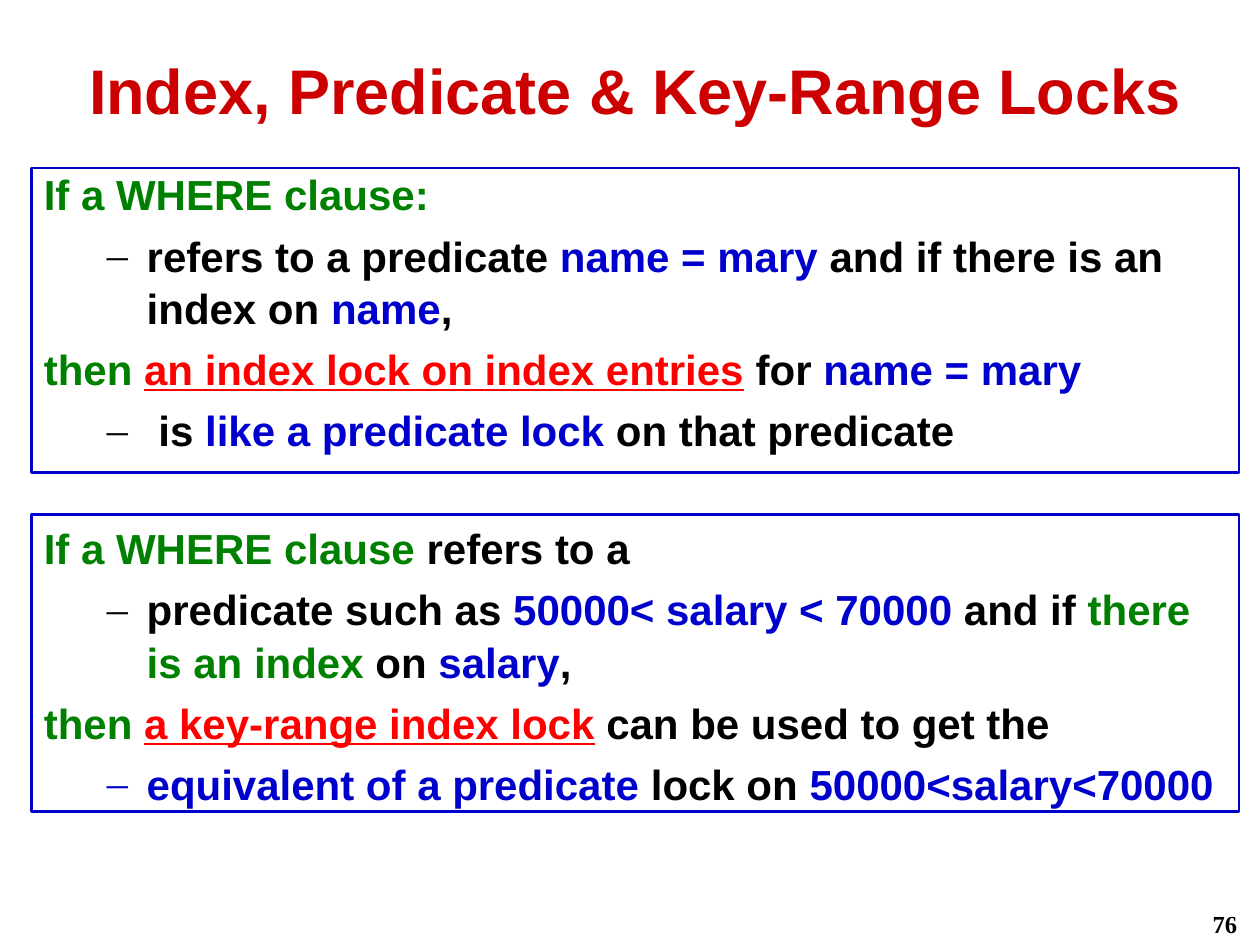
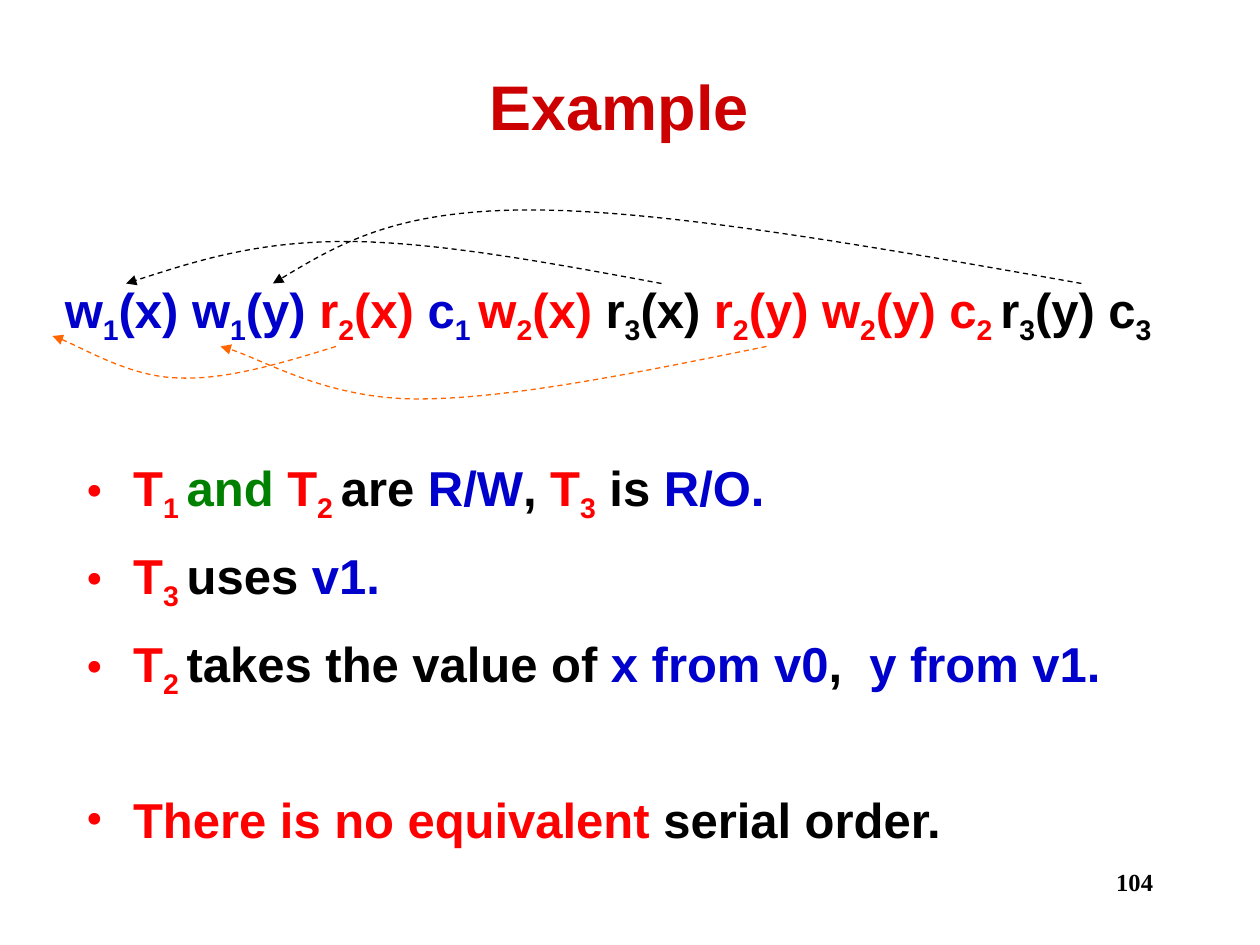
from lxml.etree import SubElement
from pptx import Presentation
from pptx.dml.color import RGBColor
from pptx.enum.dml import MSO_LINE
from pptx.enum.shapes import MSO_SHAPE
from pptx.enum.text import MSO_ANCHOR, MSO_AUTO_SIZE, PP_ALIGN
from pptx.oxml.ns import qn
from pptx.util import Emu, Pt

PX = 7620  # 120 px to the inch
COLORS = {
    "title": "CC0000",
    "black": "000000",
    "blue": "0000CC",
    "green": "008000",
    "red": "FF0000",
    "orange": "FF6600",
}
SANS, SERIF = "Arial", "Times New Roman"
DASH, DOT = "–", "•"


def px(*lengths):
    return [Emu(length * PX) for length in lengths]


def color(name):
    return RGBColor.from_string(COLORS[name])


def format_run(run, size, color_name, font=SANS):
    run.font.size = Pt(size)
    run.font.name = font
    run.font.bold = True
    run.font.color.rgb = color(color_name)


def add_runs(paragraph, pieces, size):
    """Each piece is (text, colour[, underline]); _x_ marks x as a subscript."""
    for text, color_name, *underline in pieces:
        for index, part in enumerate(text.split("_")):
            if not part:
                continue
            run = paragraph.add_run()
            run.text = part
            format_run(run, size, color_name)
            if underline:
                run.font.underline = True
            if index % 2:
                run._r.get_or_add_rPr().set("baseline", "-25000")


def set_indent(paragraph, margin, hanging, bullet=None, bullet_color="black"):
    properties = paragraph._p.get_or_add_pPr()
    properties.set("marL", str(margin * PX))
    properties.set("indent", str(-hanging * PX))
    if bullet:
        fill = SubElement(properties, qn("a:buClr"))
        SubElement(fill, qn("a:srgbClr"), val=COLORS[bullet_color])
        SubElement(properties, qn("a:buFont"), typeface=SERIF)
        SubElement(properties, qn("a:buChar"), char=bullet)


def next_paragraph(text_frame, index):
    return text_frame.add_paragraph() if index else text_frame.paragraphs[0]


def add_titled_slide(presentation, title, box):
    slide = presentation.slides.add_slide(presentation.slide_layouts[5])
    shape = slide.shapes.title
    shape.left, shape.top, shape.width, shape.height = px(*box)
    text_frame = shape.text_frame
    text_frame.text = title
    text_frame.auto_size = MSO_AUTO_SIZE.NONE
    text_frame.vertical_anchor = MSO_ANCHOR.MIDDLE
    text_frame.margin_left = text_frame.margin_right = 0
    paragraph = text_frame.paragraphs[0]
    paragraph.alignment = PP_ALIGN.CENTER
    format_run(paragraph.runs[0], 36, "title")
    return slide


def add_text_box(slide, box, wrap=True):
    text_frame = slide.shapes.add_textbox(*px(*box)).text_frame
    text_frame.word_wrap = wrap
    return text_frame


def add_page_number(slide, number, box):
    text_frame = add_text_box(slide, box)
    text_frame.text = number
    paragraph = text_frame.paragraphs[0]
    paragraph.alignment = PP_ALIGN.RIGHT
    format_run(paragraph.runs[0], 14, "black", SERIF)


def add_rule_box(slide, box, lines, first_spacing):
    """Framed box in which every second line is a dashed sub-item."""
    shape = slide.shapes.add_shape(MSO_SHAPE.RECTANGLE, *px(*box))
    shape.shadow.inherit = False
    shape.fill.background()
    shape.line.color.rgb = color("blue")
    shape.line.width = Pt(1.5)
    text_frame = shape.text_frame
    text_frame.word_wrap = True
    text_frame.vertical_anchor = MSO_ANCHOR.TOP
    for index, pieces in enumerate(lines):
        paragraph = next_paragraph(text_frame, index)
        if index % 2:
            # The last dash takes the colour of the words after it
            set_indent(paragraph, 98, 38, DASH, pieces[0][1])
        else:
            set_indent(paragraph, 45, 45)
        paragraph.alignment = PP_ALIGN.LEFT
        paragraph.line_spacing = 1.04 if index else first_spacing
        if index:
            paragraph.space_before = Pt(5)
        add_runs(paragraph, pieces, 24)


def add_bullets(slide, box, items):
    """Each item is (space before in points, pieces)."""
    text_frame = add_text_box(slide, box)
    for index, (space, pieces) in enumerate(items):
        paragraph = next_paragraph(text_frame, index)
        set_indent(paragraph, 45, 45, DOT, "red")
        paragraph.space_before = Pt(space)
        add_runs(paragraph, pieces, 28)


def add_curved_arrow(slide, color_name, start, *points):
    """Dashed arrow through cubic curves, three points to a curve."""
    builder = slide.shapes.build_freeform(*start, scale=PX)
    builder.add_line_segments(points, close=False)
    shape = builder.convert_to_shape()
    # Turn each three straight segments into one cubic curve
    segments = list(shape._element.iter(qn("a:lnTo")))
    for first in range(0, len(segments), 3):
        curve = segments[first].getparent()
        cubic = SubElement(curve, qn("a:cubicBezTo"))
        for segment in segments[first:first + 3]:
            cubic.append(segment[0])
            curve.remove(segment)
    shape.shadow.inherit = False
    shape.fill.background()
    shape.line.color.rgb = color(color_name)
    shape.line.width = Pt(0.75)
    shape.line.dash_style = MSO_LINE.DASH
    SubElement(shape.line._get_or_add_ln(), qn("a:tailEnd"), type="triangle")


def build_locks_slide(presentation):
    slide = add_titled_slide(
        presentation, "Index, Predicate & Key-Range Locks", (70, 40, 1070, 90))
    add_page_number(slide, "76", (940, 860, 250, 30))
    # Index lock
    add_rule_box(slide, (30, 160, 1150, 290), [
        [("If a WHERE clause:", "green")],
        [("refers to a predicate ", "black"), ("name = mary", "blue"),
         (" and if there is an index on", "black"), (" name", "blue"), (",", "black")],
        [("then ", "green"), ("an index lock on index entries", "red", True),
         (" for ", "black"), ("name = mary", "blue")],
        [(" is ", "black"), ("like a predicate lock", "blue"),
         (" on that predicate", "black")],
    ], 0.9)
    # Key-range lock
    add_rule_box(slide, (30, 490, 1150, 283), [
        [("If a WHERE clause", "green"), (" refers to a", "black")],
        [("predicate such as ", "black"), ("50000< salary < 70000", "blue"),
         (" and if ", "black"), ("there is an index", "green"), (" on ", "black"),
         ("salary", "blue"), (",", "black")],
        [("then ", "green"), ("a key-range index lock", "red", True),
         (" can be used to get the", "black")],
        [("equivalent of a predicate", "blue"), (" lock on ", "black"),
         ("50000<salary<70000", "blue")],
    ], 1.04)


def build_example_slide(presentation):
    slide = add_titled_slide(presentation, "Example", (80, 60, 1020, 80))
    add_page_number(slide, "104", (860, 820, 250, 60))
    # Facts about the schedule
    add_bullets(slide, (70, 430, 1080, 390), [
        (0, [("T_1 _", "red"), ("and", "green"), (" T_2 _", "red"), ("are ", "black"),
             ("R/W", "blue"), (", ", "black"), ("T_3_", "red"), (" is ", "black"),
             ("R/O.", "blue")]),
        (12, [("T_3 _", "red"), ("uses ", "black"), ("v1.", "blue")]),
        (12, [("T_2 _", "red"), ("takes the value of ", "black"), ("x from v0", "blue"),
              (",  ", "black"), ("y from v1.", "blue")]),
        (51, [("There is no equivalent ", "red"), ("serial order.", "black")]),
    ])
    # Schedule
    schedule = add_text_box(slide, (50, 260, 1102, 68), wrap=False)
    add_runs(schedule.paragraphs[0], [
        ("w_1_(x) w_1_(y) ", "blue"), ("r_2_(x)", "red"), (" c_1 _", "blue"),
        ("w_2_(x) ", "red"), ("r_3_(x) ", "black"), ("r_2_(y) w_2_(y) c_2 _", "red"),
        ("r_3_(y) c_3_", "black"),
    ], 28)
    # Reads by transaction 3, above the schedule
    add_curved_arrow(slide, "black", (630, 270), (522, 250), (414, 230), (329, 230),
                     (244, 230), (182, 250), (120, 270))
    add_curved_arrow(slide, "black", (1030, 270), (832, 235), (634, 200), (505, 200),
                     (377, 200), (318, 235), (260, 270))
    # Reads by transaction 2, below the schedule
    add_curved_arrow(slide, "orange", (730, 330), (607, 355), (485, 380), (398, 380),
                     (312, 380), (244, 338), (210, 330))
    add_curved_arrow(slide, "orange", (320, 330), (268, 346), (215, 362), (170, 360),
                     (125, 359), (70, 326), (50, 320))


def main():
    presentation = Presentation()
    presentation.slide_width, presentation.slide_height = px(1200, 900)
    build_locks_slide(presentation)
    build_example_slide(presentation)
    presentation.save("out.pptx")


if __name__ == "__main__":
    main()
